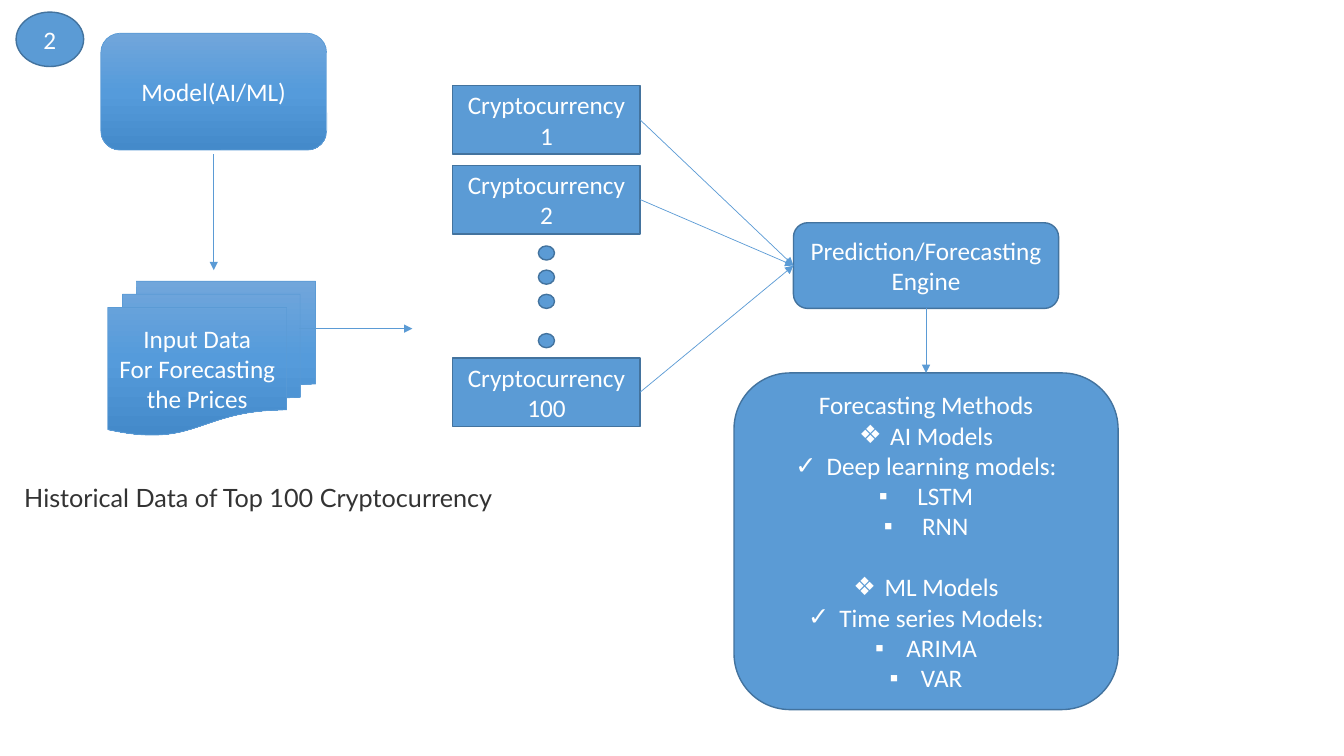
from copy import deepcopy
from lxml import etree
from pptx import Presentation
from pptx.dml.color import RGBColor
from pptx.enum.shapes import MSO_CONNECTOR, MSO_SHAPE
from pptx.enum.text import MSO_ANCHOR, MSO_AUTO_SIZE, PP_ALIGN
from pptx.oxml.ns import qn
from pptx.util import Inches, Pt

RECT, OVAL = MSO_SHAPE.RECTANGLE, MSO_SHAPE.OVAL
ROUNDED, DOCUMENTS = MSO_SHAPE.ROUNDED_RECTANGLE, MSO_SHAPE.FLOWCHART_MULTIDOCUMENT
STRAIGHT = MSO_CONNECTOR.STRAIGHT
CENTER, LEFT = PP_ALIGN.CENTER, PP_ALIGN.LEFT
MIDDLE, TOP = MSO_ANCHOR.MIDDLE, MSO_ANCHOR.TOP
TOP_SITE, LEFT_SITE, BOTTOM_SITE, RIGHT_SITE = range(4)

COLORS = {"blue": "5B9BD5", "edge": "43739E", "white": "FFFFFF", "ink": "333333"}
GRADIENT = [(0, "71A6DB"), (0.5, "559BDB"), (1, "448ACA")]
SIZE = 18
LINE_HEIGHT = 22

CAPTION = "Historical Data of Top 100 Cryptocurrency"
STEP = "2"
MODEL = ["Model(AI/ML)"]
INPUT = ["Input Data", "For Forecasting the Prices"]
COINS = ["Cryptocurrency 1", "Cryptocurrency 2", "Cryptocurrency 100"]
ENGINE = ["Prediction/Forecasting Engine"]
METHODS_HEADING = "Forecasting Methods"
METHODS = [
    [("❖", 0.31, "AI Models"), ("✓", 0.31, "Deep learning models:"),
     ("▪", 0.38, "LSTM"), ("▪", 0.38, "RNN")],
    [("❖", 0.31, "ML Models"), ("✓", 0.31, "Time series Models:"),
     ("▪", 0.31, "ARIMA"), ("▪", 0.31, "VAR")],
]

COIN_LEFT, COIN_TOP, COIN_W, COIN_H, COIN_PITCH = 4.49, 0.85, 1.86, 0.68, 0.79
LAST_COIN_TOP = 3.55
DOT_W, DOT_H, DOT_PITCH, DOT_TOP, LAST_DOT_TOP = 0.16, 0.14, 0.24, 2.44, 3.31
MODEL_BOX = (1, 0.33, 2.24, 1.16)
ENGINE_BOX = (7.87, 2.21, 2.63, 0.85)
METHODS_BOX = (7.28, 3.7, 3.81, 3.34)

prs = Presentation()
prs.slide_width, prs.slide_height = Inches(13.33), Inches(7.5)
slide = prs.slides.add_slide(prs.slide_layouts[5])


def rgb(name):
    return RGBColor.from_string(COLORS[name])


def write(paragraph, text, font="Calibri", color="white", align=CENTER):
    paragraph.alignment = align
    run = paragraph.add_run()
    run.text = text
    run.font.name, run.font.size = font, Pt(SIZE)
    run.font.color.rgb = rgb(color)


def next_paragraph(frame):
    first = frame.paragraphs[0]
    return frame.add_paragraph() if first.runs else first


def add_box(kind, box, lines=()):
    shape = slide.shapes.add_shape(kind, *map(Inches, box))
    shape.shadow.inherit = False
    shape.fill.solid()
    shape.fill.fore_color.rgb = rgb("blue")
    shape.line.color.rgb = rgb("edge")
    shape.line.width = Pt(1)
    frame = shape.text_frame
    frame.word_wrap, frame.vertical_anchor = True, MIDDLE
    for line in lines:
        write(next_paragraph(frame), line)
    return shape


def shade(shape):
    shape.fill.gradient()
    shape.fill.gradient_angle = 270
    stop_list = shape._element.spPr.find(".//" + qn("a:gsLst"))
    stop_list.insert(1, deepcopy(stop_list[0]))
    for stop, (position, color) in zip(shape.fill.gradient_stops, GRADIENT):
        stop.position = position
        stop.color.rgb = RGBColor.from_string(color)
    shape.line.color.rgb = rgb("blue")
    shape.line.width = Pt(0.5)


def add_arrow(start=(0, 0), end=(0, 0)):
    arrow = slide.shapes.add_connector(STRAIGHT, *map(Inches, (*start, *end)))
    arrow.line.color.rgb = rgb("blue")
    arrow.line.width = Pt(0.5)
    etree.SubElement(arrow.line._get_or_add_ln(), qn("a:tailEnd"), type="triangle")
    etree.SubElement(arrow._element.spPr, qn("a:effectLst"))
    return arrow


def link(source, source_site, target, target_site):
    arrow = add_arrow()
    arrow.begin_connect(source, source_site)
    arrow.end_connect(target, target_site)


def add_bullet(paragraph, mark, indent):
    properties = paragraph._p.get_or_add_pPr()
    properties.set("marL", str(Inches(indent)))
    properties.set("indent", str(-Inches(indent)))
    etree.SubElement(properties, qn("a:buFont"), typeface="Arial")
    etree.SubElement(properties, qn("a:buChar"), char=mark)


caption = slide.shapes.title
caption.left, caption.top, caption.width, caption.height = map(
    Inches, (0.14, 4.73, 4.87, 0.4))
caption_frame = caption.text_frame
caption_frame.word_wrap, caption_frame.vertical_anchor = False, TOP
caption_frame.auto_size = MSO_AUTO_SIZE.SHAPE_TO_FIT_TEXT
write(caption_frame.paragraphs[0], CAPTION, "Lato", "ink", LEFT)

shade(add_box(ROUNDED, MODEL_BOX, MODEL))
shade(add_box(DOCUMENTS, (1.07, 2.79, 2.06, 1.53), INPUT))

coin_tops = [COIN_TOP, COIN_TOP + COIN_PITCH, LAST_COIN_TOP]
coins = [add_box(RECT, (COIN_LEFT, top, COIN_W, COIN_H), [coin])
         for coin, top in zip(COINS, coin_tops)]
dot_left = COIN_LEFT + (COIN_W - DOT_W) / 2
for top in [DOT_TOP + DOT_PITCH * i for i in range(3)] + [LAST_DOT_TOP]:
    add_box(OVAL, (dot_left, top, DOT_W, DOT_H))

engine = add_box(ROUNDED, ENGINE_BOX, ENGINE)
methods = add_box(ROUNDED, METHODS_BOX, [METHODS_HEADING])
for group_index, group in enumerate(METHODS):
    for item_index, (mark, indent, text) in enumerate(group):
        item = next_paragraph(methods.text_frame)
        if group_index and not item_index:
            item.space_before = Pt(LINE_HEIGHT)
        write(item, text)
        add_bullet(item, mark, indent)

for coin in coins:
    link(coin, RIGHT_SITE, engine, LEFT_SITE)
link(engine, BOTTOM_SITE, methods, TOP_SITE)

model_center = MODEL_BOX[0] + MODEL_BOX[2] / 2
add_arrow((model_center, 1.53), (model_center, 2.68))
add_arrow((2.97, 3.26), (4.09, 3.26))
add_box(OVAL, (0.16, 0.12, 0.67, 0.54), [STEP])

prs.save("out.pptx")
